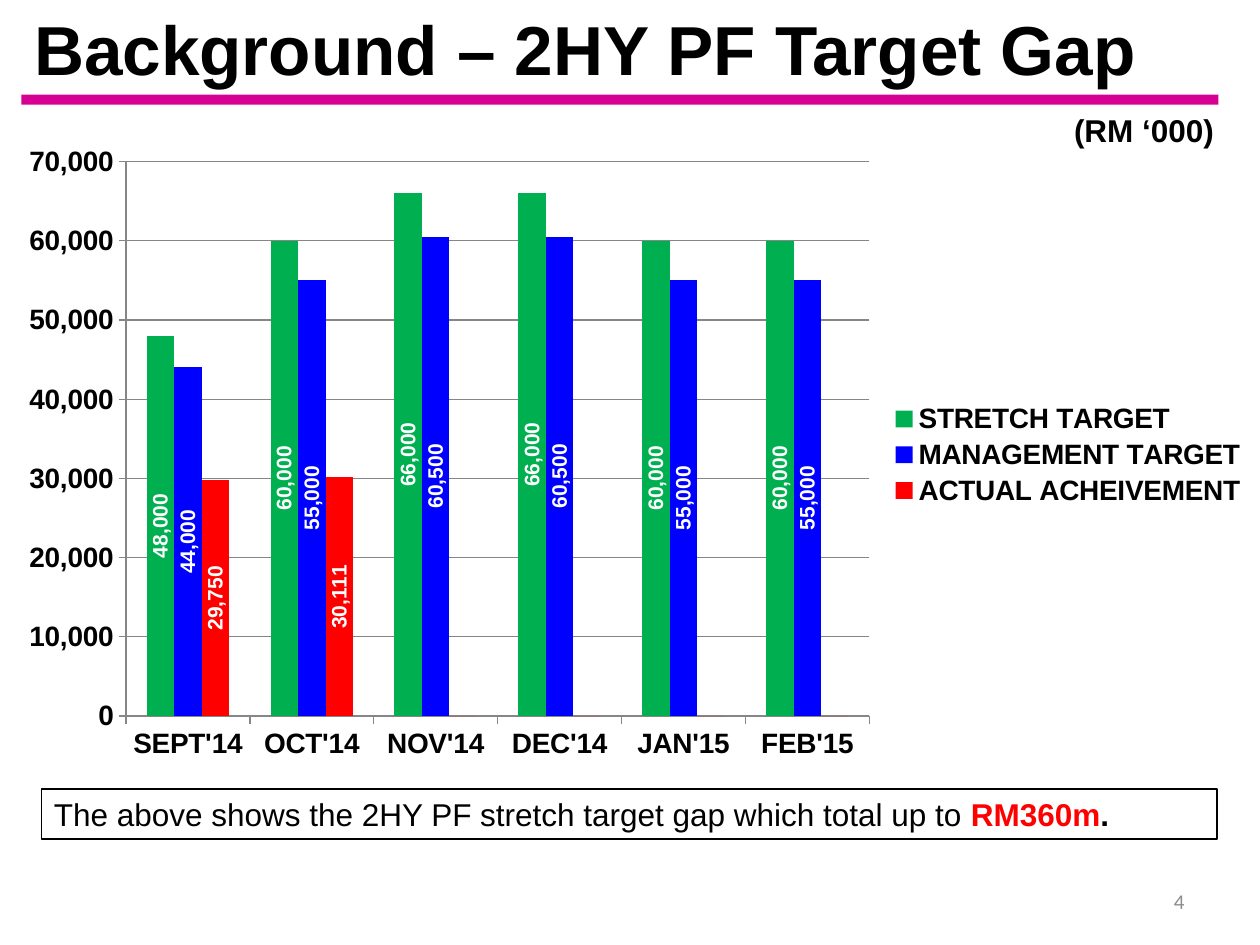
"""Build the slide on the 2HY PF target gap."""
import dataclasses
import typing

import lxml.etree
import pptx
import pptx.chart.data
import pptx.dml.color
import pptx.enum.chart
import pptx.enum.shapes
import pptx.enum.text
import pptx.oxml
import pptx.oxml.ns
import pptx.util

Inches = pptx.util.Inches
Pt = pptx.util.Pt
RGBColor = pptx.dml.color.RGBColor
Align = pptx.enum.text.PP_ALIGN
Anchor = pptx.enum.text.MSO_ANCHOR
AutoSize = pptx.enum.text.MSO_AUTO_SIZE
qn = pptx.oxml.ns.qn

BLACK = RGBColor(0, 0, 0)
WHITE = RGBColor(255, 255, 255)
MAGENTA = RGBColor(0xD6, 0, 0x93)
GREEN = RGBColor(0, 0xB0, 0x50)
BLUE = RGBColor(0, 0, 255)
RED = RGBColor(255, 0, 0)
GREY = RGBColor(0x8C, 0x8C, 0x8C)
GRID_GREY = RGBColor(0x86, 0x86, 0x86)

MONTHS = ["SEPT'14", "OCT'14", "NOV'14", "DEC'14", "JAN'15", "FEB'15"]
THOUSANDS = "#,##0"
PLOT_AREA = {"x": 0.1, "y": 0.04, "w": 0.59, "h": 0.87}


@dataclasses.dataclass(frozen=True)
class Target:
    name: str
    amounts: tuple[int, ...]
    color: RGBColor


@dataclasses.dataclass(frozen=True)
class Words:
    text: str
    size: float
    color: RGBColor = BLACK
    bold: bool = False
    face: str = "Arial"


TARGETS = [
    Target("STRETCH TARGET", (48000, 60000, 66000, 66000, 60000, 60000), GREEN),
    Target("MANAGEMENT TARGET", (44000, 55000, 60500, 60500, 55000, 55000), BLUE),
    Target("ACTUAL ACHEIVEMENT", (29750, 30111, 0, 0, 0, 0), RED),
]


def apply(target: typing.Any, values: dict[str, typing.Any]) -> None:
    """Set each named attribute of the target."""
    for name, value in values.items():
        setattr(target, name, value)


def place(shape: typing.Any, *box: float) -> None:
    """Move and size a shape in inches."""
    apply(shape, dict(zip(("left", "top", "width", "height"), map(Inches, box))))


def style_font(font: typing.Any, size: float, color: RGBColor = BLACK,
               bold: bool = True, face: str = "Arial") -> None:
    """Format a font."""
    apply(font, {"size": Pt(size), "bold": bold, "name": face})
    font.color.rgb = color


def write(shape: typing.Any, phrases: list[Words], align: Align = Align.LEFT,
          **frame: typing.Any) -> None:
    """Fill a shape with one paragraph of formatted phrases."""
    apply(shape.text_frame, {"word_wrap": True, **frame})
    paragraph = shape.text_frame.paragraphs[0]
    paragraph.alignment = align
    for words in phrases:
        run = paragraph.add_run()
        run.text = words.text
        style_font(run.font, words.size, words.color, words.bold, words.face)


def add_text(slide: typing.Any, box: tuple[float, ...], phrases: list[Words],
             align: Align = Align.LEFT, **frame: typing.Any) -> typing.Any:
    """Add a text box and return it."""
    note = slide.shapes.add_textbox(*map(Inches, box))
    write(note, phrases, align, **frame)
    return note


def label_columns(series: typing.Any, target: Target) -> None:
    """Colour a series and give it upright labels, except on zero values."""
    series.format.fill.solid()
    series.format.fill.fore_color.rgb = target.color
    labels = series.data_labels
    apply(labels, {"show_value": True, "number_format": THOUSANDS,
                   "number_format_is_linked": False,
                   "position": pptx.enum.chart.XL_LABEL_POSITION.CENTER})
    style_font(labels.font, 12, WHITE)
    element = series._element.find(qn("c:dLbls"))
    body = element.find(qn("c:txPr")).find(qn("a:bodyPr"))
    body.set("rot", "-5400000")
    body.set("vert", "horz")
    zeros = [i for i, amount in enumerate(target.amounts) if amount == 0]
    for position, index in enumerate(zeros):
        label = pptx.oxml.parse_xml(
            f'<c:dLbl {pptx.oxml.ns.nsdecls("c")}><c:idx val="{index}"/>'
            '<c:delete val="1"/></c:dLbl>')
        element.insert(position, label)


def fix_plot_area(chart: typing.Any) -> None:
    """Pin the inner plot area to fractions of the chart."""
    plot_area = chart._chartSpace.chart.plotArea
    for layout in plot_area.findall(qn("c:layout")):
        plot_area.remove(layout)
    layout = lxml.etree.Element(qn("c:layout"))
    manual = lxml.etree.SubElement(layout, qn("c:manualLayout"))
    settings = {"layoutTarget": "inner", "xMode": "edge", "yMode": "edge", **PLOT_AREA}
    for tag, value in settings.items():
        lxml.etree.SubElement(manual, qn(f"c:{tag}")).set("val", str(value))
    plot_area.insert(0, layout)


def add_target_chart(slide: typing.Any) -> None:
    """Add the monthly target columns."""
    data = pptx.chart.data.CategoryChartData(number_format=THOUSANDS)
    data.categories = MONTHS
    for target in TARGETS:
        data.add_series(target.name, target.amounts)
    chart = slide.shapes.add_chart(
        pptx.enum.chart.XL_CHART_TYPE.COLUMN_CLUSTERED,
        *map(Inches, (0, 1.08, 10, 5.06)), data).chart
    apply(chart, {"has_title": False, "has_legend": True})
    style_font(chart.font, 18, bold=False, face="Calibri")
    apply(chart.legend, {"position": pptx.enum.chart.XL_LEGEND_POSITION.RIGHT,
                         "include_in_layout": False})
    style_font(chart.legend.font, 16)
    apply(chart.plots[0], {"gap_width": 150, "overlap": 0, "vary_by_categories": False})
    for series, target in zip(chart.plots[0].series, TARGETS):
        label_columns(series, target)

    amounts = chart.value_axis
    apply(amounts, {"minimum_scale": 0, "maximum_scale": 70000, "major_unit": 10000,
                    "has_major_gridlines": True})
    apply(amounts.tick_labels, {"number_format": THOUSANDS,
                                "number_format_is_linked": False})
    for axis in (chart.category_axis, amounts):
        axis.major_tick_mark = pptx.enum.chart.XL_TICK_MARK.OUTSIDE
        style_font(axis.tick_labels.font, 16)
    for part in (chart.category_axis, amounts, amounts.major_gridlines):
        part.format.line.color.rgb = GRID_GREY
        part.format.line.width = Pt(0.75)
    fix_plot_area(chart)


def build() -> None:
    """Build and save the presentation."""
    deck = pptx.Presentation()
    apply(deck, {"slide_width": Inches(10), "slide_height": Inches(7.5)})
    slide = deck.slides.add_slide(deck.slide_layouts[5])

    rule = slide.shapes.add_shape(pptx.enum.shapes.MSO_SHAPE.RECTANGLE,
                                  *map(Inches, (0.17, 0.75, 9.5, 0.08)))
    rule.shadow.inherit = False
    rule.fill.solid()
    rule.fill.fore_color.rgb = MAGENTA
    rule.line.fill.background()

    title = slide.shapes.title
    place(title, 0.17, 0.17, 9.67, 0.42)
    write(title, [Words("Background – 2HY PF Target Gap", 39.6, bold=True)],
          vertical_anchor=Anchor.MIDDLE, auto_size=AutoSize.NONE)

    add_target_chart(slide)
    summary = add_text(slide, (0.33, 6.26, 9.33, 0.4), [
        Words("The above shows the 2HY PF stretch target gap which total up to ", 18),
        Words("RM360m", 18, RED, True),
        Words(".", 18, bold=True),
    ], auto_size=AutoSize.SHAPE_TO_FIT_TEXT)
    summary.line.color.rgb = BLACK
    summary.line.width = Pt(1)
    add_text(slide, (8.33, 0.83, 1.5, 0.4), [Words("(RM ‘000)", 18, bold=True)],
             Align.CENTER, auto_size=AutoSize.SHAPE_TO_FIT_TEXT)
    add_text(slide, (7.17, 6.95, 2.33, 0.4), [Words("4", 12, GREY, face="Calibri")],
             Align.RIGHT, vertical_anchor=Anchor.MIDDLE)
    deck.save("out.pptx")


build()
